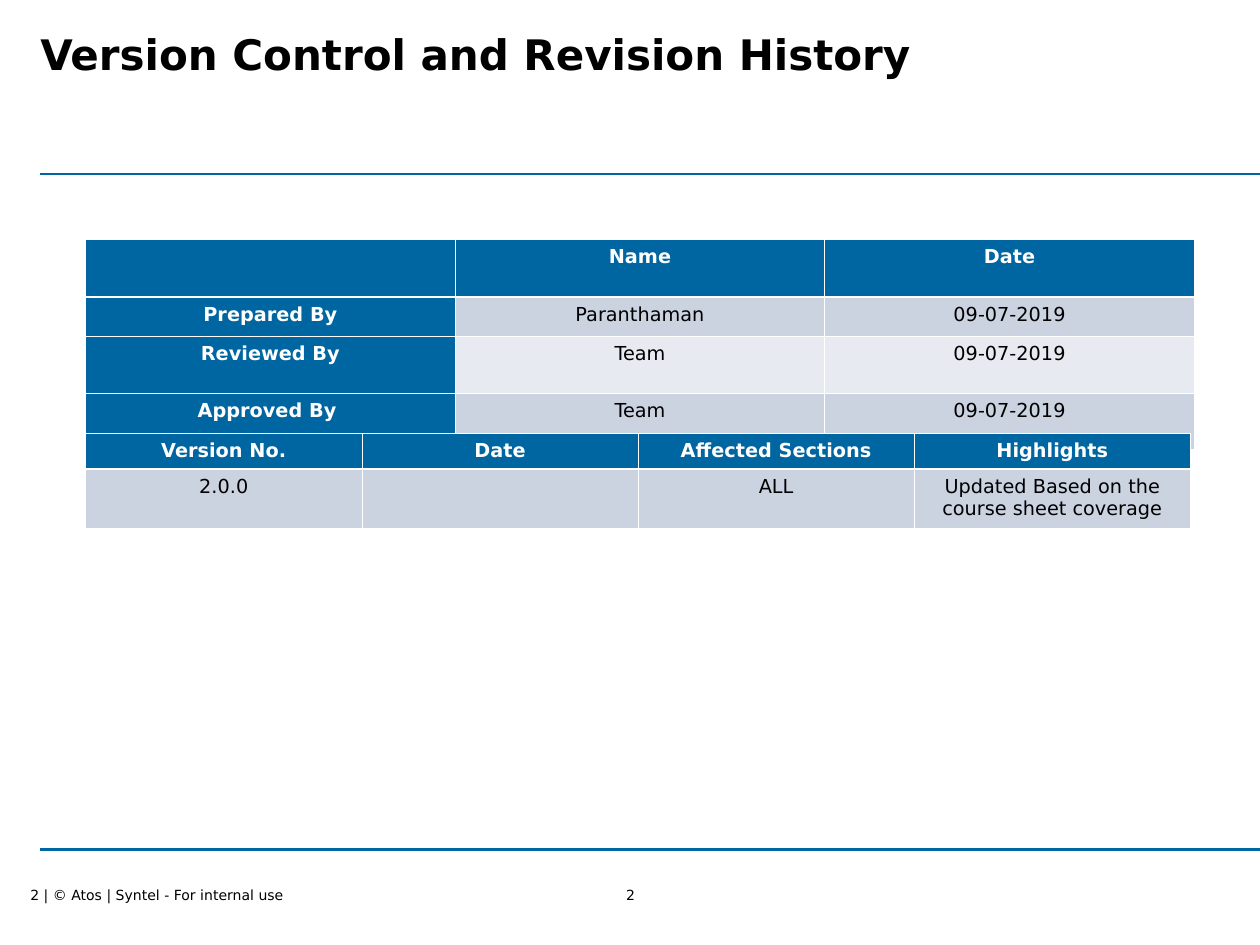
from dataclasses import dataclass

from lxml import etree
from pptx import Presentation
from pptx.dml.color import RGBColor
from pptx.enum.shapes import MSO_CONNECTOR
from pptx.enum.text import MSO_ANCHOR, MSO_AUTO_SIZE, PP_ALIGN
from pptx.oxml.ns import qn
from pptx.util import Inches, Pt

LEFT, CENTER = PP_ALIGN.LEFT, PP_ALIGN.CENTER
TOP, MIDDLE = MSO_ANCHOR.TOP, MSO_ANCHOR.MIDDLE
NO_FIT = MSO_AUTO_SIZE.NONE
STRAIGHT = MSO_CONNECTOR.STRAIGHT

TITLE_ONLY = 5
FONT = "DejaVu Sans"
COLORS = {"blue": "0066A1", "dark_band": "CBD3E0", "light_band": "E7EAF0",
          "black": "000000", "white": "FFFFFF"}
THIN, THICK = 0.45, 1.47
WIDTH, HEIGHT = Inches(10), Inches(7.5)


@dataclass
class Box:
    """Position and size in percent of the slide's width and height."""
    left: float
    top: float
    width: float
    height: float

    def emu(self) -> tuple[int, int, int, int]:
        return (across(self.left), down(self.top),
                across(self.width), down(self.height))


@dataclass
class Footer:
    text: str
    box: Box
    align: PP_ALIGN


@dataclass
class Grid:
    """A table; row heights are in percent of the slide's height."""
    left: float
    top: float
    width: float
    row_heights: list[float]
    rows: list[list[str]]
    header_column: bool = False


TITLE = "Version Control and Revision History"
TITLE_BOX = Box(3.2, 2.4, 94.9, 14)
RULE_LEFT, RULE_TOPS = 3.2, (18.4, 89.9)
FOOTERS = [
    Footer("2", Box(47.3, 93.73, 5.5, 2), CENTER),
    Footer("2 | © Atos | Syntel - For internal use",
           Box(2.4, 93.73, 24.1, 2), LEFT),
]
GRIDS = [
    Grid(6.8, 25.33, 88, [6.13, 4.13, 6, 5.93], [
        ["", "Name", "Date"],
        ["Prepared By", "Paranthaman", "09-07-2019"],
        ["Reviewed By", "Team", "09-07-2019"],
        ["Approved By ", "Team", "09-07-2019"],
    ], header_column=True),
    Grid(6.8, 45.87, 87.7, [3.6, 6.13], [
        ["Version No.", "Date", "Affected Sections", "Highlights"],
        ["2.0.0", "", "ALL", "Updated Based on the course sheet coverage"],
    ]),
]


def across(percent: float) -> int:
    return round(WIDTH * percent / 100)


def down(percent: float) -> int:
    return round(HEIGHT * percent / 100)


def rgb(name: str) -> RGBColor:
    return RGBColor.from_string(COLORS[name])


def set_all(target, values: dict) -> None:
    for name, value in values.items():
        setattr(target, name, value)


def write(tf, text: str, size: float, color: str, bold: bool,
          align: PP_ALIGN) -> None:
    p = tf.paragraphs[0]
    p.alignment = align
    r = p.add_run()
    r.text = text
    set_all(r.font, {"name": FONT, "size": Pt(size), "bold": bold})
    r.font.color.rgb = rgb(color)


def add_title(slide) -> None:
    sp = slide.shapes.title
    set_all(sp, dict(zip(("left", "top", "width", "height"),
                         TITLE_BOX.emu())))
    set_all(sp.text_frame, {
        "margin_left": 0, "margin_right": 0, "margin_top": Inches(0.05),
        "margin_bottom": Inches(0.05), "vertical_anchor": TOP,
        "word_wrap": True, "auto_size": NO_FIT})
    write(sp.text_frame, TITLE, 24, "black", True, LEFT)


def add_rule(slide, top: float) -> None:
    y = down(top)
    line = slide.shapes.add_connector(STRAIGHT, across(RULE_LEFT), y, WIDTH, y)
    line.line.color.rgb = rgb("blue")
    line.line.width = Pt(1.25)
    etree.SubElement(line._element.spPr, qn("a:effectLst"))


def add_footer(slide, footer: Footer) -> None:
    tf = slide.shapes.add_textbox(*footer.box.emu()).text_frame
    set_all(tf, {"margin_left": 0, "margin_right": 0, "margin_top": 0,
                 "margin_bottom": 0, "vertical_anchor": MIDDLE,
                 "word_wrap": False})
    write(tf, footer.text, 8, "black", False, footer.align)


def add_borders(cell, row: int) -> None:
    """White cell borders, with a thick line under the header row."""
    widths = {"L": THIN, "R": THIN, "T": THICK if row == 1 else THIN,
              "B": THICK if row == 0 else THIN}
    props = cell._tc.get_or_add_tcPr()
    for side, width in widths.items():
        ln = etree.SubElement(props, qn(f"a:ln{side}"), w=str(Pt(width)))
        fill = etree.SubElement(ln, qn("a:solidFill"))
        etree.SubElement(fill, qn("a:srgbClr"), val=COLORS["white"])


def add_grid(slide, grid: Grid) -> None:
    n_rows, n_cols = len(grid.rows), len(grid.rows[0])
    box = Box(grid.left, grid.top, grid.width, sum(grid.row_heights))
    table = slide.shapes.add_table(n_rows, n_cols, *box.emu()).table
    for column in table.columns:
        column.width = across(grid.width / n_cols)
    for i, (height, texts) in enumerate(zip(grid.row_heights, grid.rows)):
        table.rows[i].height = down(height)
        band = "dark_band" if i % 2 else "light_band"
        for j, text in enumerate(texts):
            cell = table.cell(i, j)
            header = i == 0 or (grid.header_column and j == 0)
            set_all(cell, {
                "margin_left": Inches(0.07), "margin_right": Inches(0.07),
                "margin_top": Inches(0.05), "margin_bottom": Inches(0.05),
                "vertical_anchor": TOP})
            add_borders(cell, i)
            cell.fill.solid()
            cell.fill.fore_color.rgb = rgb("blue" if header else band)
            if text:
                write(cell.text_frame, text, 11,
                      "white" if header else "black", header, CENTER)


def main() -> None:
    prs = Presentation()
    prs.slide_width, prs.slide_height = WIDTH, HEIGHT
    slide = prs.slides.add_slide(prs.slide_layouts[TITLE_ONLY])
    for footer in FOOTERS:
        add_footer(slide, footer)
    for top in RULE_TOPS:
        add_rule(slide, top)
    add_title(slide)
    for grid in GRIDS:
        add_grid(slide, grid)
    prs.save("out.pptx")


if __name__ == "__main__":
    main()
